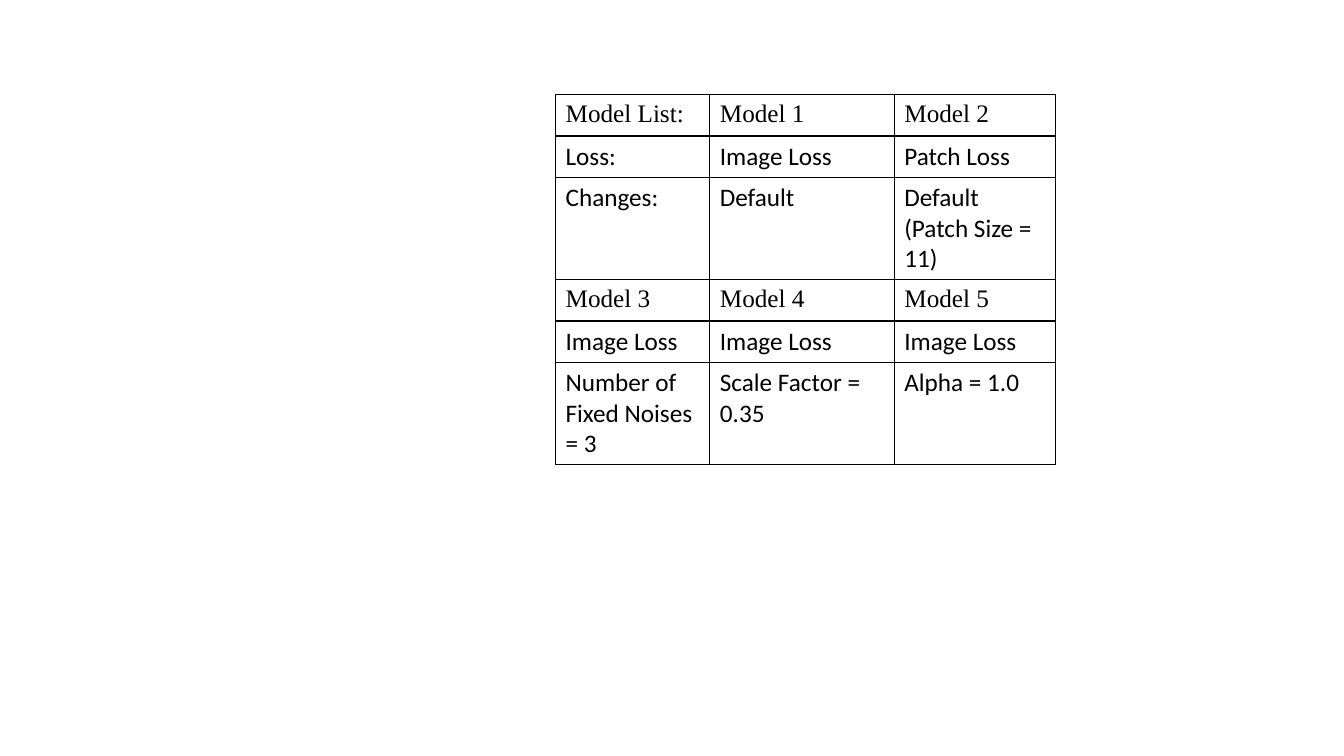
from lxml import etree
from pptx import Presentation
from pptx import util as u
from pptx.dml import color
from pptx.oxml import ns

COLORS = {"ink": "000000", "paper": "FFFFFF"}
HEADING_FONT, BODY_FONT = "Times New Roman", "Calibri"
COLUMN_WIDTHS = [1.53, 1.83, 1.6]
ROW_HEIGHT = 0.41
HEADING_ROWS = (0, 3)
MODELS = [
    ["Model List:", "Model 1", "Model 2"],
    ["Loss:", "Image Loss", "Patch Loss"],
    ["Changes:", "Default", "Default (Patch Size = 11)"],
    ["Model 3", "Model 4", "Model 5"],
    ["Image Loss", "Image Loss", "Image Loss"],
    ["Number of Fixed Noises = 3", "Scale Factor = 0.35", "Alpha = 1.0"],
]


def insert_line(parent, index, tag, points):
    line = etree.Element(ns.qn(tag), w=str(int(u.Pt(points))))
    fill = etree.SubElement(line, ns.qn("a:solidFill"))
    etree.SubElement(fill, ns.qn("a:srgbClr"), val=COLORS["ink"])
    parent.insert(index, line)


def format_cell(cell, content, is_heading):
    cell.text_frame.text = content
    span = cell.text_frame.paragraphs[0].runs[0]
    span.font.size = u.Pt(18)
    span.font.bold = False
    span.font.name = HEADING_FONT if is_heading else BODY_FONT
    span.font.color.rgb = color.RGBColor.from_string(COLORS["ink"])
    if is_heading:
        insert_line(span.font._element, 0, "a:ln", 0.75)
    cell.fill.background()
    properties = cell._tc.get_or_add_tcPr()
    for index, side in enumerate("LRTB"):
        insert_line(properties, index, f"a:ln{side}", 1)


def add_model_table(page, left, top, width, height):
    frame = page.shapes.add_table(
        len(MODELS), len(COLUMN_WIDTHS),
        u.Inches(left), u.Inches(top), u.Inches(width), u.Inches(height))
    table = frame.table
    table.first_row = False
    table.horz_banding = False
    for column, column_width in zip(table.columns, COLUMN_WIDTHS):
        column.width = u.Inches(column_width)
    for row_index, (row, contents) in enumerate(zip(table.rows, MODELS)):
        row.height = u.Inches(ROW_HEIGHT)
        for cell, content in zip(row.cells, contents):
            format_cell(cell, content, row_index in HEADING_ROWS)


deck = Presentation()
deck.slide_width, deck.slide_height = u.Inches(13.33), u.Inches(7.5)
page = deck.slides.add_slide(deck.slide_layouts[6])
page.background.fill.solid()
page.background.fill.fore_color.rgb = color.RGBColor.from_string(COLORS["paper"])
add_model_table(page, 5.51, 0.94, sum(COLUMN_WIDTHS), ROW_HEIGHT * len(MODELS))
deck.save("out.pptx")
